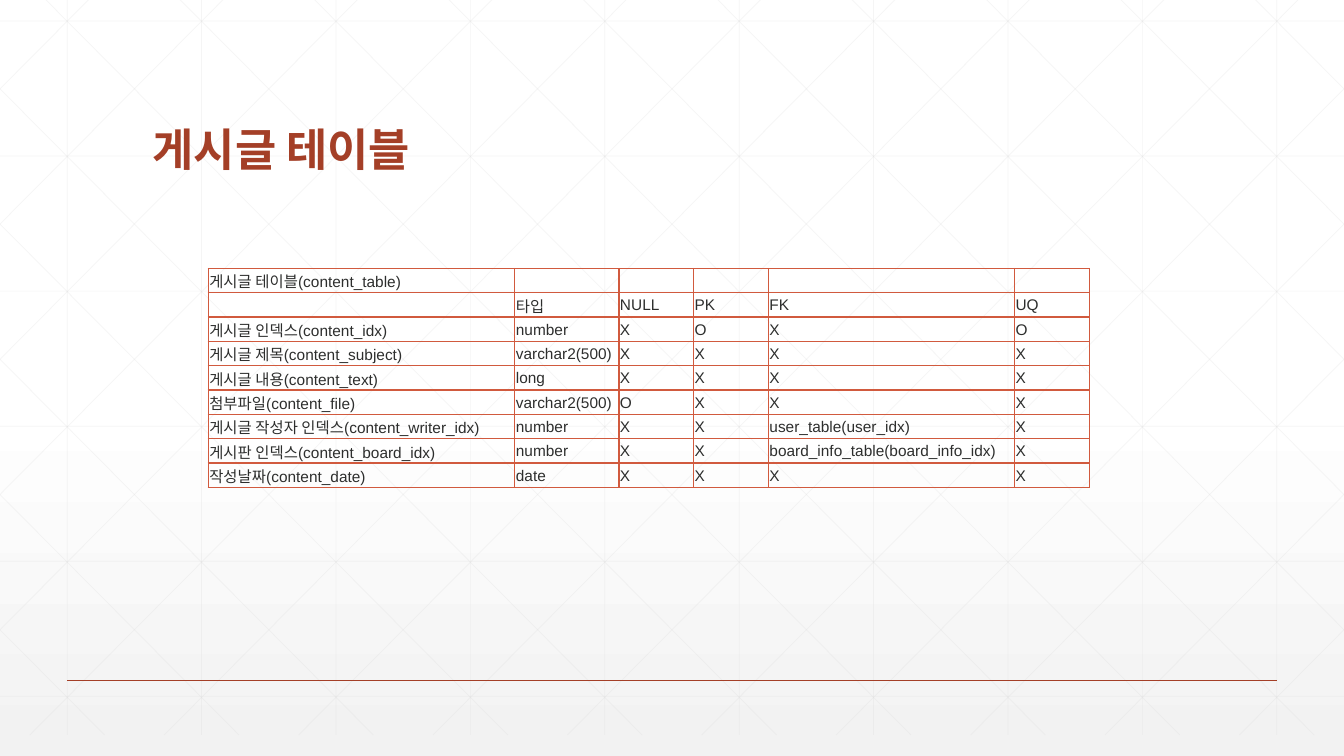
from lxml.etree import SubElement
from pptx import Presentation
from pptx.dml.color import RGBColor
from pptx.enum.shapes import MSO_CONNECTOR
from pptx.enum.text import MSO_ANCHOR
from pptx.oxml.ns import qn
from pptx.util import Inches, Pt

WHITE = RGBColor(0xFF, 0xFF, 0xFF)
PALE_GREY = RGBColor(0xF2, 0xF2, 0xF2)
GRID_GREY = RGBColor(0xD9, 0xD9, 0xD9)
RUST = RGBColor(0xA4, 0x3F, 0x27)
BORDER_RED = RGBColor(0xD1, 0x5A, 0x3E)
INK = RGBColor(0x2D, 0x2E, 0x2D)

COLUMNS, ROWS = 160, 90
LATTICE_STEP = 16
LATTICE_ROW_STEP = 16.08
LATTICE_TOP, LATTICE_BOTTOM = -2.5, 87.5
DIAGONAL_RUN = 89.45

COLUMN_WIDTHS = [36.5, 12.4, 8.9, 8.9, 29.3, 8.9]
CONTENT_TABLE = [
    ["게시글 테이블(content_table)", "", "", "", "", ""],
    ["", "타입", "NULL", "PK", "FK", "UQ"],
    ["게시글 인덱스(content_idx)", "number", "X", "O", "X", "O"],
    ["게시글 제목(content_subject)", "varchar2(500)", "X", "X", "X", "X"],
    ["게시글 내용(content_text)", "long", "X", "X", "X", "X"],
    ["첨부파일(content_file)", "varchar2(500)", "O", "X", "X", "X"],
    ["게시글 작성자 인덱스(content_writer_idx)", "number", "X", "X",
     "user_table(user_idx)", "X"],
    ["게시판 인덱스(content_board_idx)", "number", "X", "X",
     "board_info_table(board_info_idx)", "X"],
    ["작성날짜(content_date)", "date", "X", "X", "X", "X"],
]


def grid(units):
    """Length of a number of grid columns or rows, twelve to the inch."""
    return Inches(units / 12)


def add_color(parent, color, opacity=100):
    element = SubElement(parent, qn("a:srgbClr"), val=str(color))
    if opacity < 100:
        SubElement(element, qn("a:alpha"), val=str(opacity * 1000))


class SlideBuilder:
    latin_font = "Arial"
    korean_font = "Noto Sans CJK KR"

    def __init__(self, slide):
        self.slide = slide

    def background(self, stops):
        fill = self.slide.background.fill
        fill.gradient()
        fill.gradient_angle = 270
        stop_list = self.slide.element.find(".//" + qn("a:gsLst"))
        stop_list.clear()
        for position, color, opacity in stops:
            stop = SubElement(stop_list, qn("a:gs"), pos=str(position * 1000))
            add_color(stop, color, opacity)

    def line(self, start, end, color, width, opacity=100, shapes=None):
        shapes = self.slide.shapes if shapes is None else shapes
        connector = shapes.add_connector(
            MSO_CONNECTOR.STRAIGHT, *map(grid, (*start, *end)))
        connector.line.width = Pt(width)
        connector.line.fill.solid()
        connector.line.color.rgb = color
        properties = connector.element.spPr
        if opacity < 100:
            color_element = properties.find(".//" + qn("a:srgbClr"))
            SubElement(color_element, qn("a:alpha"), val=str(opacity * 1000))
        SubElement(properties, qn("a:effectLst"))

    def lattice(self):
        """Faint upright, level and diagonal lines, clipped at the slide's sides."""
        shapes = self.slide.shapes.add_group_shape().shapes
        segments = []
        for index in range(10):
            x = 8 + LATTICE_STEP * index
            segments.append(((x, LATTICE_TOP), (x, LATTICE_BOTTOM)))
        for index in range(6):
            y = 2.5 + LATTICE_ROW_STEP * index
            segments.append(((0, y), (COLUMNS, y)))
        slope = (LATTICE_BOTTOM - LATTICE_TOP) / DIAGONAL_RUN
        for index in range(-5, 10):
            origin = 3 + LATTICE_STEP * index
            left, right = max(origin, 0), min(origin + DIAGONAL_RUN, COLUMNS)
            top, bottom = (LATTICE_TOP + slope * (x - origin) for x in (left, right))
            segments.append(((left, top), (right, bottom)))
            segments.append(((COLUMNS - left, top), (COLUMNS - right, bottom)))
        for start, end in segments:
            self.line(start, end, GRID_GREY, 0.5, 25, shapes)

    def run(self, paragraph, text, font_name, size, color, bold=False):
        run = paragraph.add_run()
        run.text = text
        run.font.size = Pt(size)
        run.font.bold = bold
        run.font.color.rgb = color
        run.font.name = font_name
        SubElement(run.font._element, qn("a:ea"), typeface=self.korean_font)

    def title(self, text, left, top, width, height):
        box = self.slide.shapes.add_textbox(*map(grid, (left, top, width, height)))
        frame = box.text_frame
        frame.word_wrap = True
        frame.vertical_anchor = MSO_ANCHOR.BOTTOM
        paragraph = frame.paragraphs[0]
        paragraph.line_spacing = 0.9
        self.run(paragraph, text, self.korean_font, 32, RUST, bold=True)

    def table(self, values, left, top, widths, row_height):
        frame = self.slide.shapes.add_table(
            len(values), len(widths), grid(left), grid(top),
            grid(sum(widths)), grid(row_height * len(values)))
        table = frame.table
        table.first_row = table.horz_banding = False
        for column, width in zip(table.columns, widths):
            column.width = grid(width)
        for row, texts in zip(table.rows, values):
            row.height = grid(row_height)
            for cell, text in zip(row.cells, texts):
                self.cell(cell, text)

    def cell(self, cell, text):
        cell.margin_left = cell.margin_top = cell.margin_right = Inches(0.01)
        cell.margin_bottom = 0
        cell.vertical_anchor = MSO_ANCHOR.MIDDLE
        paragraph = cell.text_frame.paragraphs[0]
        if text:
            self.run(paragraph, text, self.latin_font, 11, INK)
        else:
            SubElement(paragraph._p, qn("a:endParaRPr"), sz="1100")
        properties = cell._tc.get_or_add_tcPr()
        for side in ("a:lnL", "a:lnR", "a:lnT", "a:lnB"):
            border = SubElement(properties, qn(side), w=str(Pt(1)))
            add_color(SubElement(border, qn("a:solidFill")), BORDER_RED)
        cell.fill.background()


def main():
    presentation = Presentation()
    presentation.slide_width = grid(COLUMNS)
    presentation.slide_height = grid(ROWS)
    builder = SlideBuilder(
        presentation.slides.add_slide(presentation.slide_layouts[6]))
    builder.background([(0, WHITE, 100), (53, WHITE, 100), (100, PALE_GREY, 65)])
    builder.lattice()
    builder.line((8, 81), (152, 81), RUST, 1)
    builder.title("게시글 테이블", 17, 6.6, 126, 15)
    builder.table(CONTENT_TABLE, 24.8, 31.95, COLUMN_WIDTHS, 2.9)
    presentation.save("out.pptx")


if __name__ == "__main__":
    main()
